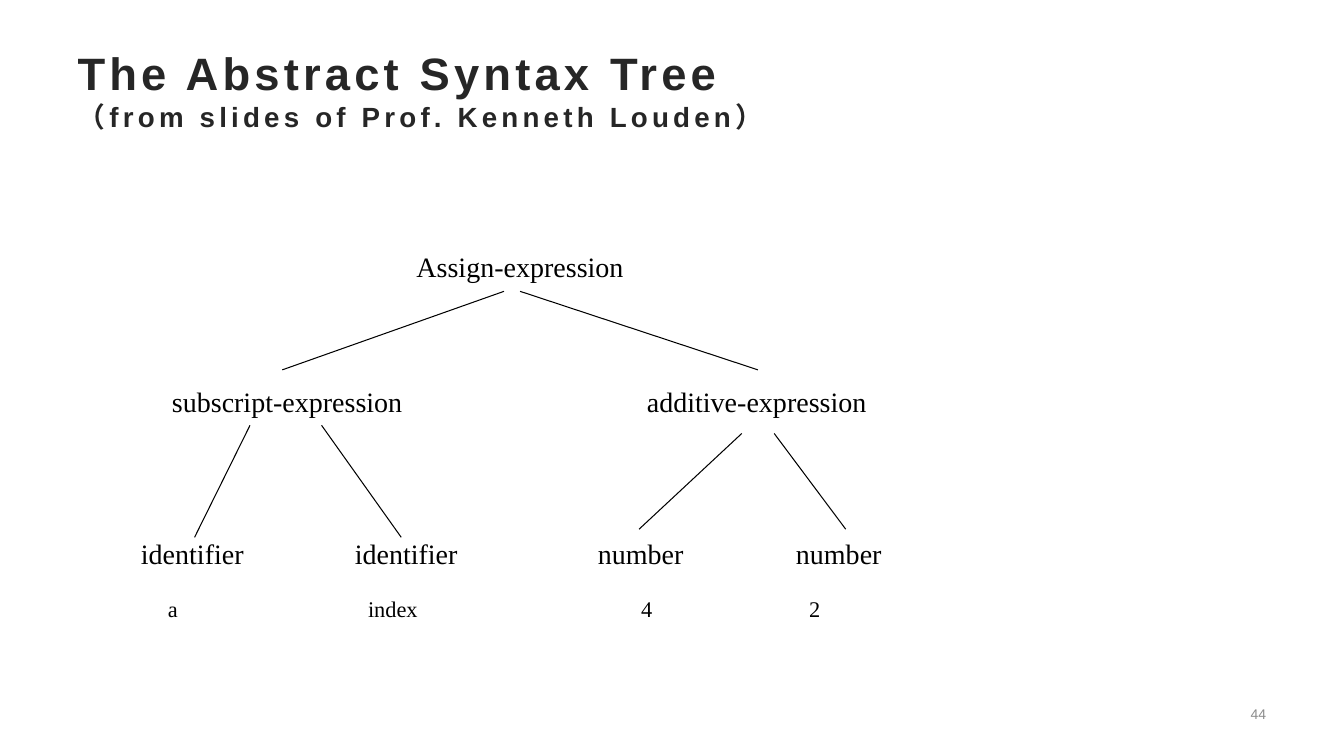
from lxml import etree
from pptx import Presentation
from pptx import util as u
from pptx.dml.color import RGBColor
from pptx.enum import shapes, text
from pptx.oxml.ns import qn

BLACK = RGBColor(0, 0, 0)
WHITE = RGBColor(255, 255, 255)
TITLE_COLOR = RGBColor(0x26, 0x26, 0x26)
NUMBER_COLOR = RGBColor(0x8C, 0x8C, 0x8C)

# Content, lengths in points
TITLE = [("The Abstract Syntax Tree", 32.4),
         ("（from slides of Prof. Kenneth Louden）", 19.8)]
PAGE_NUMBER = "44"
TREE_LEFT, TREE_WIDTH = 93.6, 555.8
# Top, height, font size, {left edge of label: label}; None means centred
TREE_ROWS = [
    (423.4, 23, 16, [(120, "a"), (262.9, "index"), (457.9, "4"), (577.9, "2")]),
    (372.2, 45.4, 20, [(100.8, "identifier"), (253.6, "identifier"),
                       (427.1, "number"), (568.6, "number")]),
    (264.2, 45.4, 20, [(122.8, "subscript-expression"),
                       (462.1, "additive-expression")]),
    (167.8, 45.4, 20, [(None, "Assign-expression")]),
]
# Start x, end x of the branches that share a start y and an end y
BRANCHES = [
    (208.1, 264.2, [(360, 201.6), (371.5, 541.4)]),
    (303.8, 383.8, [(178.6, 139), (229.7, 286.6)]),
    (309.6, 378, [(529.9, 456.5), (553, 604.1)]),
]

presentation = Presentation()
presentation.slide_width, presentation.slide_height = u.Pt(960), u.Pt(540)
slide = presentation.slides.add_slide(presentation.slide_layouts[5])


def place(shape, left, top, width, height):
    shape.left, shape.top = u.Pt(left), u.Pt(top)
    shape.width, shape.height = u.Pt(width), u.Pt(height)


def set_font(font, size, name, color):
    font.size, font.name = u.Pt(size), name
    font.color.rgb = color


# Title
title = slide.shapes.title
place(title, 48.2, 36, 864, 55.4)
frame = title.text_frame
frame.auto_size = text.MSO_AUTO_SIZE.NONE
frame.vertical_anchor = text.MSO_ANCHOR.MIDDLE
paragraph = frame.paragraphs[0]
paragraph.alignment = text.PP_ALIGN.LEFT
for index, (line, size) in enumerate(TITLE):
    if index:
        paragraph.add_line_break()
    run = paragraph.add_run()
    run.text = line
    set_font(run.font, size, "Arial", TITLE_COLOR)
    run.font.bold = True
    run.font._element.set("spc", "300")

# Tree rows: the first label sets the inset, the others sit on tab stops
for top, height, size, labels in TREE_ROWS:
    row = slide.shapes.add_shape(shapes.MSO_SHAPE.RECTANGLE, 0, 0, 0, 0)
    place(row, TREE_LEFT, top, TREE_WIDTH, height)
    row.shadow.inherit = False
    row.fill.solid()
    row.fill.fore_color.rgb = WHITE
    row.line.color.rgb = WHITE
    row.line.width = u.Pt(0.75)
    frame = row.text_frame
    frame.word_wrap = True
    frame.vertical_anchor = text.MSO_ANCHOR.MIDDLE
    frame.text = "\t".join(label for _, label in labels)
    paragraph = frame.paragraphs[0]
    first = labels[0][0]
    if first is None:
        paragraph.alignment = text.PP_ALIGN.CENTER
    else:
        paragraph.alignment = text.PP_ALIGN.LEFT
        frame.margin_left = u.Pt(first - TREE_LEFT)
        tabs = etree.SubElement(paragraph._p.get_or_add_pPr(), qn("a:tabLst"))
        for left, _ in labels[1:]:
            etree.SubElement(tabs, qn("a:tab"), pos=str(u.Pt(left - first)), algn="l")
    set_font(paragraph.font, size, "Times New Roman", BLACK)

# Branches
for top, bottom, spans in BRANCHES:
    for start, end in spans:
        branch = slide.shapes.add_connector(
            shapes.MSO_CONNECTOR.STRAIGHT,
            u.Pt(start), u.Pt(top), u.Pt(end), u.Pt(bottom))
        branch.line.color.rgb = BLACK
        branch.line.width = u.Pt(0.75)
        etree.SubElement(branch._element.spPr, qn("a:effectLst"))

# Page number
number = slide.shapes.add_textbox(0, 0, 0, 0)
place(number, 699.1, 497.5, 212.4, 25.2)
frame = number.text_frame
frame.word_wrap = True
frame.vertical_anchor = text.MSO_ANCHOR.MIDDLE
frame.text = PAGE_NUMBER
paragraph = frame.paragraphs[0]
paragraph.alignment = text.PP_ALIGN.RIGHT
set_font(paragraph.font, 10, "Arial", NUMBER_COLOR)

presentation.save("out.pptx")
